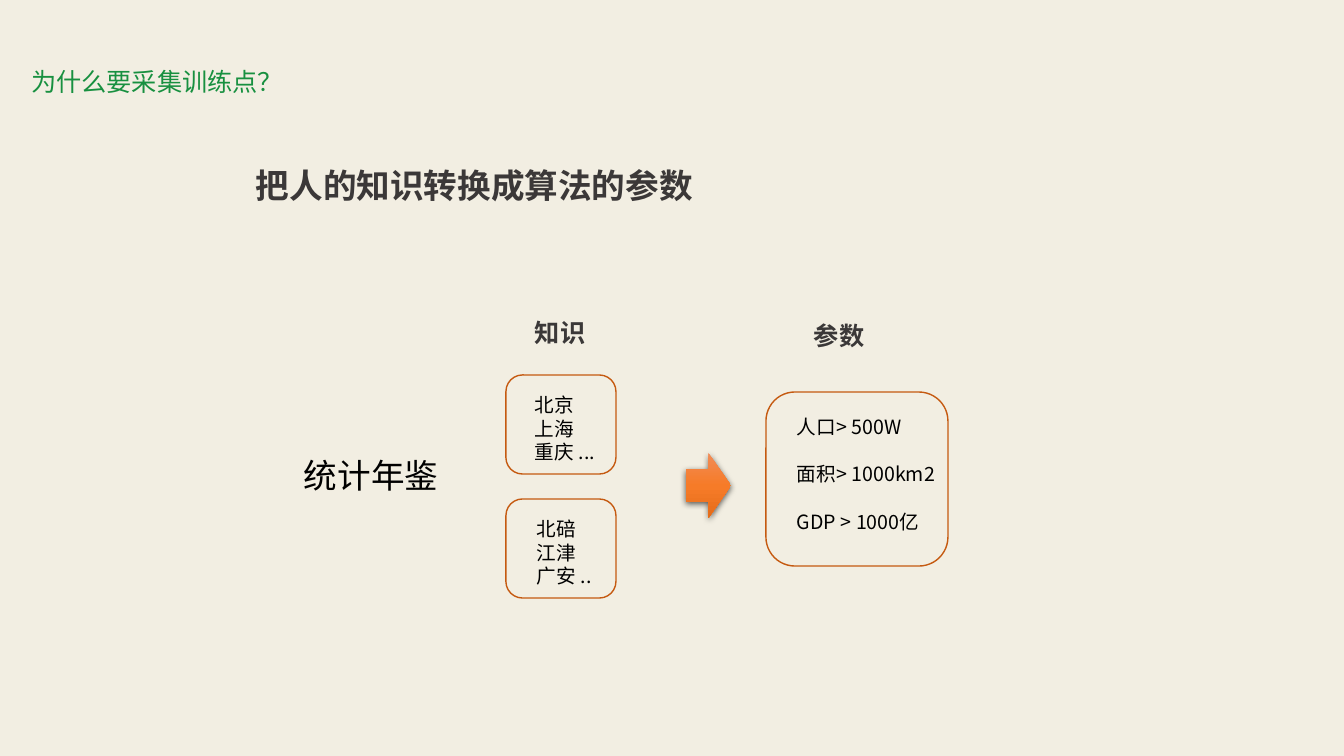
from copy import deepcopy

from lxml import etree
from pptx import Presentation
from pptx.dml.color import RGBColor
from pptx.enum.shapes import MSO_SHAPE
from pptx.enum.text import MSO_ANCHOR, MSO_AUTO_SIZE, PP_ALIGN
from pptx.oxml.ns import qn
from pptx.util import Emu, Pt

ROUNDED = MSO_SHAPE.ROUNDED_RECTANGLE
ARROW = MSO_SHAPE.RIGHT_ARROW
TOP = MSO_ANCHOR.TOP
LEFT = PP_ALIGN.LEFT
FIXED = MSO_AUTO_SIZE.NONE

EMU_PER_PX = 914400 / 100.8
TITLE_ONLY = 5
LINE_HEIGHT = 1.2


def px(length):
    return Emu(round(length * EMU_PER_PX))


def color(value):
    return RGBColor.from_string(value)


def write(frame, lines, *, size, ink, latin, asian, bold=False, gap=0, wrap=True):
    frame.word_wrap = wrap
    frame.auto_size = FIXED
    frame.vertical_anchor = TOP
    for index, line in enumerate(lines):
        para = frame.paragraphs[0] if index == 0 else frame.add_paragraph()
        para.alignment = LEFT
        para.line_spacing = Pt(size * LINE_HEIGHT)
        para.space_before = Pt(gap if index else 0)
        span = para.add_run()
        span.text = line
        span.font.size = Pt(size)
        span.font.bold = bold
        span.font.color.rgb = color(ink)
        span.font.name = latin
        etree.SubElement(span.font._element, qn("a:ea"), typeface=asian)


class Slide:
    title_font = "Calibri"
    body_font = "Noto Sans CJK SC"
    green, dark, black = "189040", "3B3838", "000000"
    outline = "C55A11"

    def __init__(self, deck, background):
        self.page = deck.slides.add_slide(deck.slide_layouts[TITLE_ONLY])
        fill = self.page.background.fill
        fill.solid()
        fill.fore_color.rgb = color(background)

    def title(self, text, left, top, width, height):
        box = self.page.shapes.title
        box.left, box.top, box.width, box.height = map(px, (left, top, width, height))
        write(box.text_frame, [text], size=18, ink=self.green,
              latin=self.title_font, asian=self.body_font, wrap=False)

    def text(self, lines, left, top, width, height, *, ink=black, **style):
        box = self.page.shapes.add_textbox(*map(px, (left, top, width, height)))
        write(box.text_frame, lines, ink=ink, latin=self.body_font,
              asian=self.body_font, **style)

    def shape(self, kind, left, top, width, height):
        shape = self.page.shapes.add_shape(kind, *map(px, (left, top, width, height)))
        shape.shadow.inherit = False
        return shape

    def frame(self, left, top, width, height):
        shape = self.shape(ROUNDED, left, top, width, height)
        shape.fill.background()
        shape.line.color.rgb = color(self.outline)
        shape.line.width = Pt(1)

    def arrow(self, left, top, width, height, colors):
        shape = self.shape(ARROW, left, top, width, height)
        shape.line.fill.background()

        # Vertical gradient with evenly spaced stops
        shape.fill.gradient()
        shape.fill.gradient_angle = 270
        properties = shape._element.spPr
        stop_list = properties.find(".//" + qn("a:gsLst"))
        while len(stop_list) < len(colors):
            stop_list.append(deepcopy(stop_list[-1]))
        for index, (stop, value) in enumerate(zip(shape.fill.gradient_stops, colors)):
            stop.position = index / (len(colors) - 1)
            stop.color.rgb = color(value)

        # Soft shadow below
        effects = properties.find(qn("a:effectLst"))
        shadow = etree.SubElement(effects, qn("a:outerShdw"), blurRad=str(Pt(4.5)),
                                  dist=str(Pt(1.5)), dir="5400000", rotWithShape="0")
        tone = etree.SubElement(shadow, qn("a:srgbClr"), val=self.black)
        etree.SubElement(tone, qn("a:alpha"), val="63000")


def main():
    deck = Presentation()
    deck.slide_width, deck.slide_height = px(1344), px(756)
    slide = Slide(deck, "F2EEE2")

    # Headings
    slide.title("为什么要采集训练点？", 21, 61, 275, 40)
    slide.text(["把人的知识转换成算法的参数"], 246, 160, 547, 50,
               size=24, ink=slide.dark, bold=True)
    for heading, left, top in (("知识", 525, 312), ("参数", 804, 315)):
        slide.text([heading], left, top, 72, 40,
                   size=18, ink=slide.dark, bold=True, wrap=False)

    # Data source
    slide.text(["统计年鉴"], 294, 450, 168, 50, size=24)

    # Knowledge groups
    groups = (
        (["北京", "上海", "重庆 ..."], 525),
        (["北碚", "江津", "广安 .."], 527),
    )
    for index, (cities, left) in enumerate(groups):
        top = 375 + index * 124
        slide.frame(506, top, 110, 99)
        slide.text(cities, left, top + 13, 110, 82, size=14)

    # Conversion to parameters
    slide.arrow(686, 453, 45, 65, ["F18C57", "F67B28", "E56C19"])
    slide.frame(766, 392, 182, 174)
    slide.text(["人口> 500W", "面积> 1000km2", "GDP > 1000亿"],
               787, 410, 178, 129, size=14, gap=17)

    deck.save("out.pptx")


if __name__ == "__main__":
    main()
